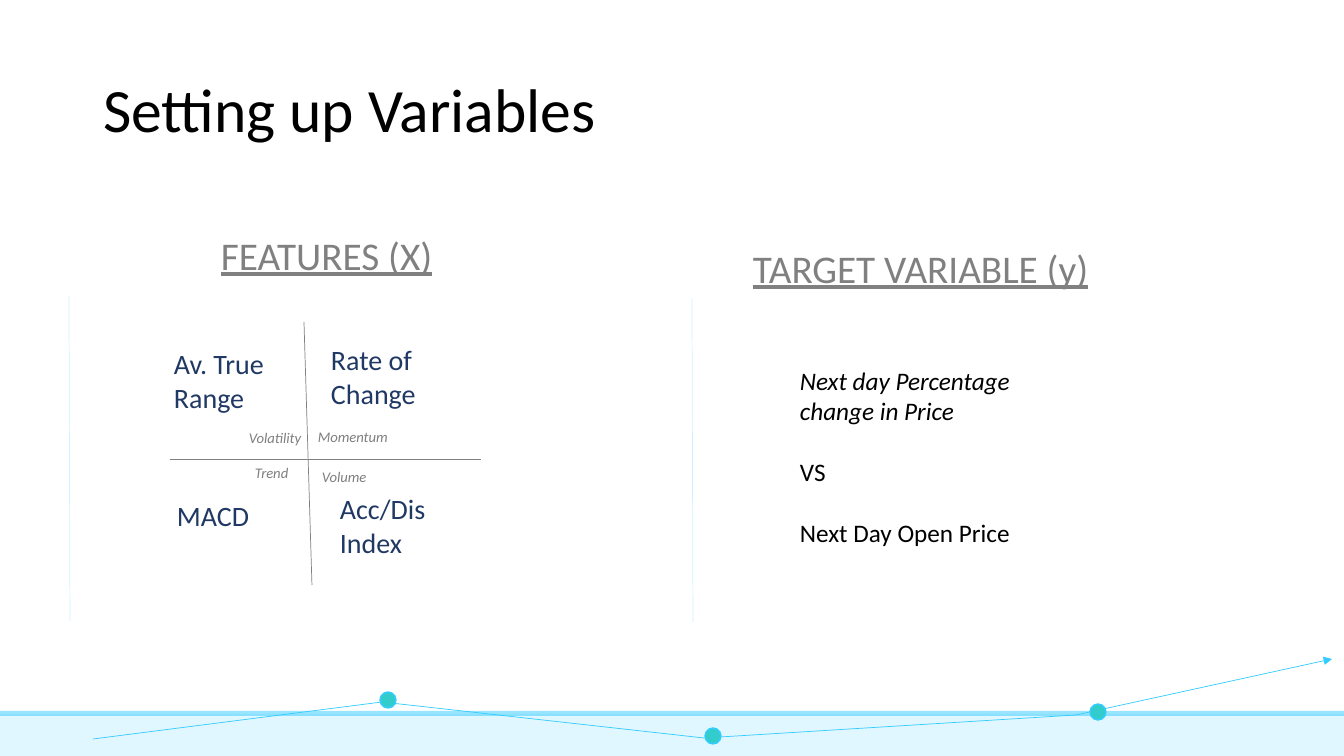
from itertools import pairwise

from lxml.etree import SubElement
from pptx import Presentation
from pptx.dml.color import RGBColor
from pptx.enum.shapes import MSO_CONNECTOR, MSO_SHAPE
from pptx.enum.text import MSO_ANCHOR, PP_ALIGN
from pptx.oxml.ns import qn
from pptx.util import Emu, Pt

EMU_PER_PX = 914400 / 100.8
SLIDE_SIZE = (1344, 756)
FONT = "Calibri"
COLORS = {
    "black": "000000",
    "gray": "808080",
    "navy": "203864",
    "cyan": "33CCFF",
    "teal": "33CCCC",
}

TITLE = ("Setting up Variables", (93, 40, 1159, 146))
HEADINGS = [
    ("FEATURES (X)", (211, 226, 259, 57)),
    ("TARGET VARIABLE (y)", (743, 239, 391, 57)),
]
TARGET_BOX = (790, 360, 295, 194)
TARGET_LINES = [
    ("Next day Percentage change in Price", True),
    ("VS", False),
    ("Next Day Open Price", False),
]
CATEGORIES = [
    ("Volatility", (239, 424, 134, 29)),
    ("Momentum", (308, 423, 95, 29)),
    ("Trend", (245, 459, 67, 28)),
    ("Volume", (312, 463, 75, 28)),
]
INDICATORS = [
    ("Av. True Range", (164, 342, 134, 78)),
    ("Rate of Change", (321, 338, 134, 78)),
    ("MACD", (167, 494, 134, 44)),
    ("Acc/Dis Index", (330, 487, 134, 78)),
]
QUADRANT_AXES = [((304, 322), (312, 585)), ((170, 459), (481, 459))]
SIDE_RULES = [((69, 296), (70, 621)), ((692, 298), (693, 622))]
BANDS = [((0, 714, 1344, 42), 15), ((0, 711, 1344, 5), 50)]
TREND_POINTS = [(93, 739), (382, 702), (704, 738), (1076, 715), (1332, 659)]
DOT_SIZE = 16
DOTS = [(380, 692), (705, 728), (1090, 704)]


def px(*lengths):
    return [Emu(round(length * EMU_PER_PX)) for length in lengths]


def color(name):
    return RGBColor.from_string(COLORS[name])


def set_opacity(element, percent):
    for color_element in element.iter(qn("a:srgbClr")):
        SubElement(color_element, qn("a:alpha"), val=str(percent * 1000))


def add_filled_shape(slide, kind, box, fill):
    shape = slide.shapes.add_shape(kind, *px(*box))
    shape.shadow.inherit = False
    shape.fill.solid()
    shape.fill.fore_color.rgb = color(fill)
    shape.line.fill.background()
    return shape


def add_line(slide, start, end, color_name):
    connector = slide.shapes.add_connector(MSO_CONNECTOR.STRAIGHT, *px(*start, *end))
    connector.line.color.rgb = color(color_name)
    connector.line.width = Pt(0.5)
    SubElement(connector._element.spPr, qn("a:effectLst"))
    return connector


def add_run(paragraph, text, size, color_name, italic=False, underline=False):
    run = paragraph.add_run()
    run.text = text
    font = run.font
    font.name = FONT
    font.size = Pt(size)
    font.color.rgb = color(color_name)
    font.italic = italic
    font.underline = underline


def add_text_frame(slide, box):
    frame = slide.shapes.add_textbox(*px(*box)).text_frame
    frame.word_wrap = True
    return frame


def add_labels(slide, labels, size, color_name, italic=False, underline=False):
    for text, box in labels:
        paragraph = add_text_frame(slide, box).paragraphs[0]
        add_run(paragraph, text, size, color_name, italic, underline)


def add_footer(slide):
    for box, opacity in BANDS:
        band = add_filled_shape(slide, MSO_SHAPE.RECTANGLE, box, "cyan")
        set_opacity(band._element.spPr, opacity)
    for start, end in pairwise(TREND_POINTS):
        segment = add_line(slide, start, end, "cyan")
    SubElement(segment.line._get_or_add_ln(), qn("a:tailEnd"), type="triangle")
    for left, top in DOTS:
        box = (left, top, DOT_SIZE, DOT_SIZE)
        dot = add_filled_shape(slide, MSO_SHAPE.OVAL, box, "teal")
        dot.line.color.rgb = color("cyan")
        dot.line.width = Pt(1)


def add_title(slide):
    text, box = TITLE
    title = slide.shapes.title
    title.left, title.top, title.width, title.height = px(*box)
    title.text_frame.vertical_anchor = MSO_ANCHOR.MIDDLE
    paragraph = title.text_frame.paragraphs[0]
    paragraph.alignment = PP_ALIGN.LEFT
    paragraph.line_spacing = 0.9
    add_run(paragraph, text, 44, "black")


def add_target(slide):
    frame = add_text_frame(slide, TARGET_BOX)
    for index, (text, italic) in enumerate(TARGET_LINES):
        paragraph = frame.add_paragraph() if index else frame.paragraphs[0]
        paragraph.space_before = Pt(22 if index else 0)
        add_run(paragraph, text, 18, "black", italic)


def main():
    presentation = Presentation()
    presentation.slide_width, presentation.slide_height = px(*SLIDE_SIZE)
    slide = presentation.slides.add_slide(presentation.slide_layouts[5])
    add_footer(slide)
    add_title(slide)
    for start, end in QUADRANT_AXES:
        add_line(slide, start, end, "gray")
    add_labels(slide, HEADINGS, 28, "gray", underline=True)
    add_target(slide)
    add_labels(slide, CATEGORIES, 10.5, "gray", italic=True)
    add_labels(slide, INDICATORS, 20, "navy")
    for start, end in SIDE_RULES:
        rule = add_line(slide, start, end, "cyan")
        set_opacity(rule._element.spPr, 24)
    presentation.save("out.pptx")


if __name__ == "__main__":
    main()
